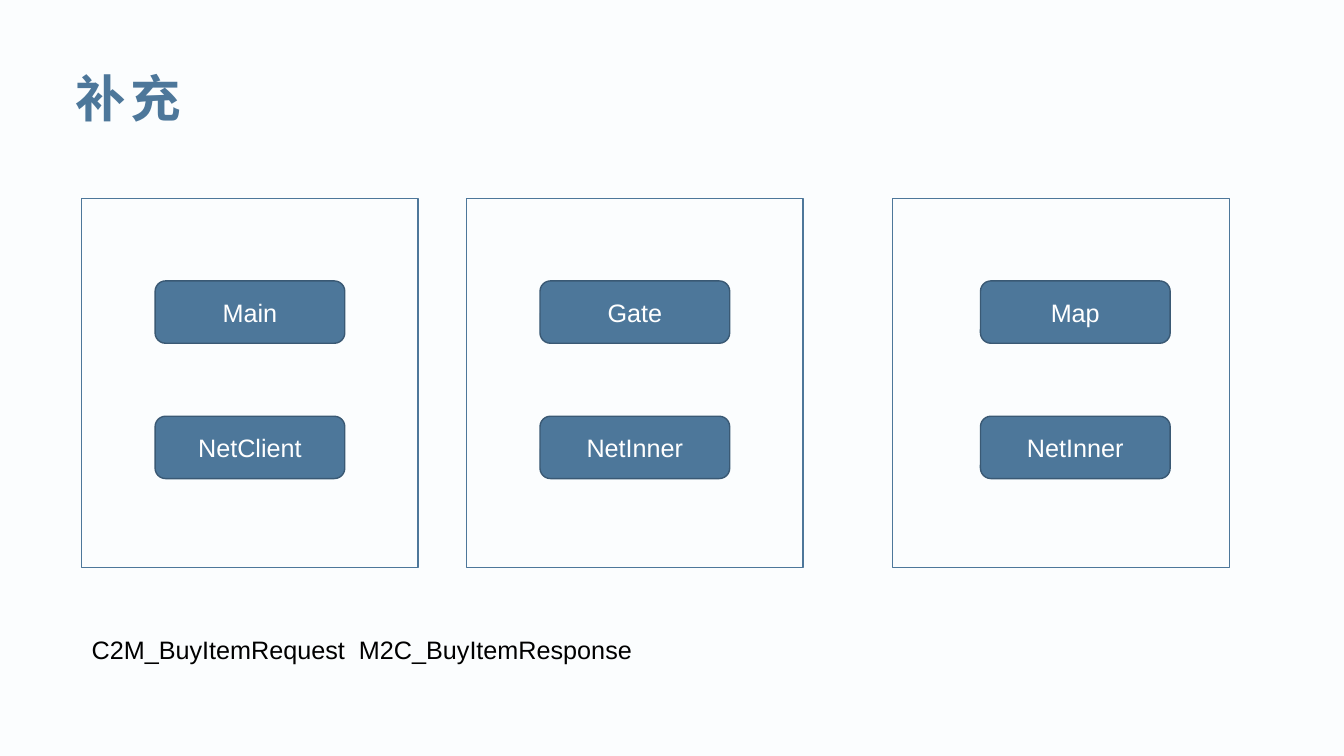
import pptx
import pptx.dml.color
import pptx.enum.shapes
import pptx.enum.text
import pptx.oxml.ns
import pptx.util
from lxml import etree

Cm = pptx.util.Cm
Pt = pptx.util.Pt
RGBColor = pptx.dml.color.RGBColor
SHAPES = pptx.enum.shapes.MSO_SHAPE
ALIGN = pptx.enum.text.PP_ALIGN
ANCHOR = pptx.enum.text.MSO_ANCHOR
AUTO_SIZE = pptx.enum.text.MSO_AUTO_SIZE

BACKGROUND = RGBColor(0xFB, 0xFD, 0xFE)
BLUE = RGBColor(0x4D, 0x77, 0x9A)
DARK_BLUE = RGBColor(0x3A, 0x59, 0x74)
WHITE = RGBColor(0xFF, 0xFF, 0xFF)
BLACK = RGBColor(0x00, 0x00, 0x00)
FONT = "Arial"

PROCESS_TOP, PROCESS_WIDTH, PROCESS_HEIGHT = Cm(5), Cm(8.48), Cm(9.3)
NODE_WIDTH, NODE_HEIGHT = Cm(4.78), Cm(1.57)
NODE_TOP, NODE_PITCH = Cm(2.08), Cm(3.41)

# left edge of the process, indent of its nodes, node names
PROCESSES = [
    (Cm(2.06), Cm(1.85), ["Main", "NetClient"]),
    (Cm(11.76), Cm(1.85), ["Gate", "NetInner"]),
    (Cm(22.5), Cm(2.21), ["Map", "NetInner"]),
]


def add_text(para, text, size, color, bold=False):
    span = para.add_run()
    span.text = text
    span.font.name = FONT
    span.font.size = Pt(size)
    span.font.bold = bold
    span.font.color.rgb = color
    return span


def fill_title(page, text, left, top, width, height):
    title = page.shapes.title
    title.left, title.top, title.width, title.height = left, top, width, height
    frame = title.text_frame
    frame.auto_size = AUTO_SIZE.NONE
    frame.vertical_anchor = ANCHOR.MIDDLE
    para = frame.paragraphs[0]
    para.alignment = ALIGN.LEFT
    span = add_text(para, text, 36, BLUE, bold=True)
    properties = span.font._element
    properties.set("lang", "zh-CN")
    properties.set("spc", "300")
    east_asian = etree.SubElement(properties, pptx.oxml.ns.qn("a:ea"))
    east_asian.set("typeface", FONT)


def add_box(page, kind, left, top, width, height, line_color):
    box = page.shapes.add_shape(kind, left, top, width, height)
    box.shadow.inherit = False
    box.fill.background()
    box.line.color.rgb = line_color
    box.line.width = Pt(1)
    return box


def add_node(page, name, left, top, width, height):
    node = add_box(page, SHAPES.ROUNDED_RECTANGLE, left, top, width, height, DARK_BLUE)
    node.fill.solid()
    node.fill.fore_color.rgb = BLUE
    frame = node.text_frame
    frame.vertical_anchor = ANCHOR.MIDDLE
    para = frame.paragraphs[0]
    para.alignment = ALIGN.CENTER
    add_text(para, name, 18, WHITE)


def add_process(page, names, indent, left, top, width, height):
    """Draw a frame with its named nodes stacked inside."""
    add_box(page, SHAPES.RECTANGLE, left, top, width, height, BLUE)
    for row, name in enumerate(names):
        node_top = top + NODE_TOP + row * NODE_PITCH
        add_node(page, name, left + indent, node_top, NODE_WIDTH, NODE_HEIGHT)


def add_message_note(page, text, left, top, width, height):
    note = page.shapes.add_textbox(left, top, width, height)
    frame = note.text_frame
    frame.word_wrap = True
    frame.auto_size = AUTO_SIZE.SHAPE_TO_FIT_TEXT
    add_text(frame.paragraphs[0], text, 18, BLACK)


def build_process_slide(deck):
    page = deck.slides.add_slide(deck.slide_layouts[5])
    page.background.fill.solid()
    page.background.fill.fore_color.rgb = BACKGROUND
    fill_title(page, "补充", Cm(1.65), Cm(1.47), Cm(31.19), Cm(1.96))
    for left, indent, names in PROCESSES:
        add_process(page, names, indent, left, PROCESS_TOP, PROCESS_WIDTH, PROCESS_HEIGHT)
    add_message_note(page, "C2M_BuyItemRequest  M2C_BuyItemResponse",
                     Cm(2.06), Cm(15.85), Cm(18.82), Cm(1.02))


def main():
    deck = pptx.Presentation()
    deck.slide_width, deck.slide_height = Cm(33.87), Cm(19.05)
    build_process_slide(deck)
    deck.save("out.pptx")


if __name__ == "__main__":
    main()
